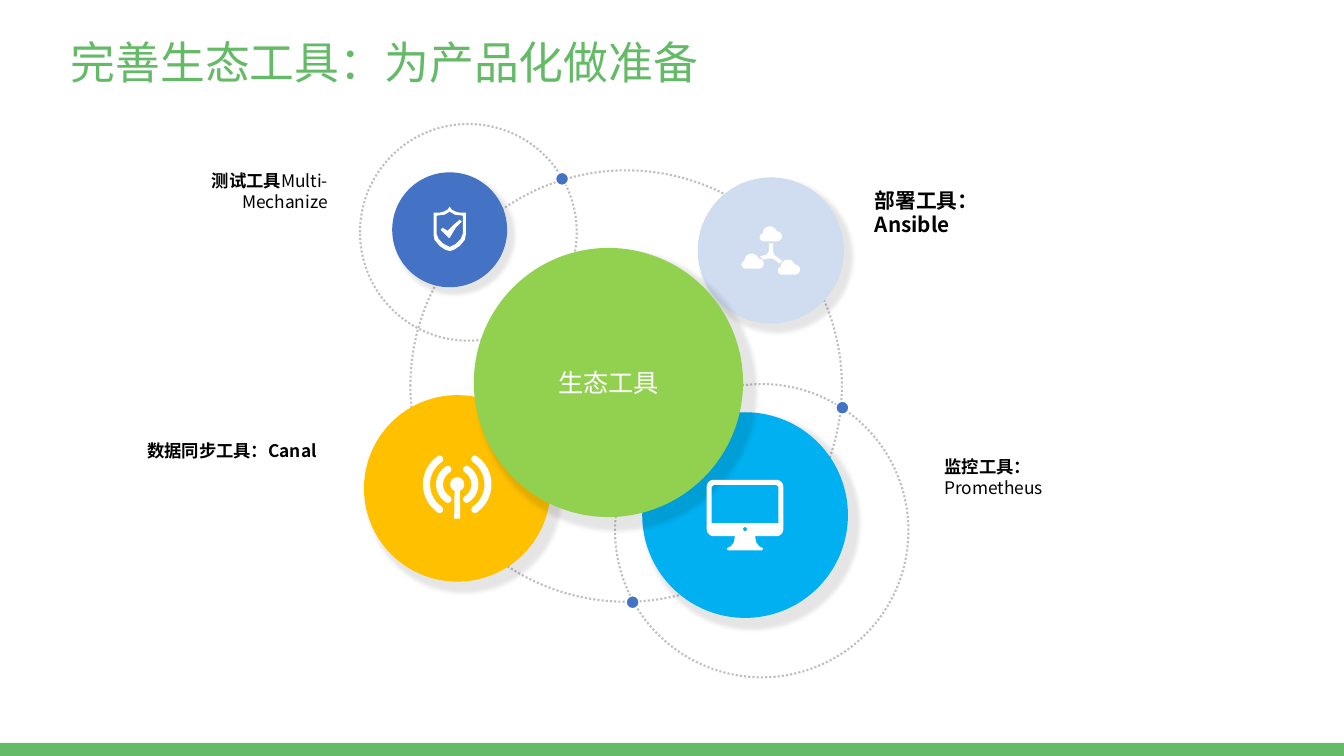
from math import cos, radians, sin

from lxml import etree
from pptx import Presentation
from pptx.dml.color import RGBColor
from pptx.enum.dml import MSO_LINE
from pptx.enum.shapes import MSO_SHAPE
from pptx.enum.text import MSO_ANCHOR, MSO_AUTO_SIZE, PP_ALIGN
from pptx.oxml import parse_xml
from pptx.oxml.ns import nsdecls, qn
from pptx.util import Inches, Pt

FONT = "Noto Sans CJK SC"
COLORS = {
    "title": "65BA67", "orbit": "BFBFBF", "white": "FFFFFF", "black": "000000",
    "test": "4472C4", "deploy": "D0DCF0", "monitor": "00B0F0", "sync": "FFC000",
    "hub": "92D050",
}
SHADOW = (
    f'<a:outerShdw {nsdecls("a")} blurRad="38100" dist="38100" dir="2700000" '
    'sx="104000" sy="104000" algn="tl" rotWithShape="0">'
    '<a:srgbClr val="000000"><a:alpha val="10000"/></a:srgbClr></a:outerShdw>'
)


def rgb(name):
    return RGBColor.from_string(COLORS[name])


def style_run(r, size, color, bold=False):
    r.font.size = Pt(size)
    r.font.name = FONT
    r.font.bold = bold
    r.font.color.rgb = rgb(color)
    etree.SubElement(r.font._element, qn("a:ea")).set("typeface", FONT)


def paint(sp, fill):
    sp.shadow.inherit = False
    sp.fill.solid()
    sp.fill.fore_color.rgb = rgb(fill)
    sp.line.fill.background()


def circle(s, x, y, size):
    return s.shapes.add_shape(MSO_SHAPE.OVAL, Inches(x), Inches(y),
                              Inches(size), Inches(size))


def orbit(s, x, y, size):
    sp = circle(s, x, y, size)
    sp.shadow.inherit = False
    sp.fill.background()
    sp.line.color.rgb = rgb("orbit")
    sp.line.width = Pt(1.5)
    sp.line.dash_style = MSO_LINE.ROUND_DOT


def disc(s, x, y, size, fill):
    sp = circle(s, x, y, size)
    paint(sp, fill)
    sp._element.spPr.find(qn("a:effectLst")).append(parse_xml(SHADOW))
    return sp


def dot(s, x, y):
    sp = circle(s, x, y, 0.13)
    paint(sp, "test")
    sp.line.color.rgb = rgb("white")
    sp.line.width = Pt(1)


def arc(cx, cy, radius, start, end, steps=16):
    """Points along an arc, in degrees clockwise from the right."""
    angles = [radians(start + (end - start) * i / steps) for i in range(steps + 1)]
    return [(cx + radius * cos(a), cy + radius * sin(a)) for a in angles]


def icon(s, cx, cy, contours):
    """One white outline shape whose contours are relative to its centre."""
    emu = [[(Inches(cx + x), Inches(cy + y)) for x, y in c] for c in contours]
    builder = s.shapes.build_freeform(*emu[0][0], scale=1.0)
    builder.add_line_segments(emu[0][1:], close=True)
    for contour in emu[1:]:
        builder.move_to(*contour[0])
        builder.add_line_segments(contour[1:], close=True)
    paint(builder.convert_to_shape(), "white")


def mirrored(half):
    return half + [(-x, y) for x, y in reversed(half)]


def shield_icon(s, cx, cy):
    outer = [(0, -0.23), (0.02, -0.2), (0.06, -0.18), (0.1, -0.17), (0.16, -0.17),
             (0.16, 0.05), (0.15, 0.1), (0.1, 0.16), (0.04, 0.2), (0, 0.21)]
    inner = [(0, -0.18), (0.05, -0.15), (0.13, -0.14), (0.13, 0.04), (0.11, 0.09),
             (0.06, 0.14), (0, 0.17)]
    tick = [(0.1, -0.1), (0.12, -0.08), (0.06, -0.02), (0, 0.08), (-0.01, 0.08),
            (-0.09, 0), (-0.07, -0.02), (-0.02, 0.01), (0.04, -0.05)]
    icon(s, cx, cy, [mirrored(outer), mirrored(inner), tick])


def cloud(x, y):
    return (arc(x + 0.04, y + 0.11, 0.04, 90, 270)
            + arc(x + 0.1, y + 0.07, 0.07, 180, 335)
            + arc(x + 0.17, y + 0.1, 0.05, 270, 450))


def clouds_icon(s, cx, cy):
    links = [(-0.02, -0.07), (0.02, -0.07), (0.02, 0.01), (0.04, 0.05), (0.11, 0.1),
             (0.09, 0.13), (0.02, 0.08), (-0.03, 0.08), (-0.07, 0.09),
             (-0.11, 0.06), (-0.04, 0.04), (-0.02, 0.01)]
    icon(s, cx, cy, [cloud(0.07, 0.09), cloud(-0.29, 0.03), links,
                     cloud(-0.11, -0.24)])


def wave(inner, outer, spread, facing):
    """A band of an antenna wave with round ends."""
    mid, cap = (inner + outer) / 2, (outer - inner) / 2
    first, last = facing - spread, facing + spread
    head, tail = (arc(0, 0, mid, a, a, 1)[0] for a in (first, last))
    return (arc(0, 0, outer, first, last) + arc(*tail, cap, last, last + 180)
            + arc(0, 0, inner, last, first)
            + arc(*head, cap, first + 180, first + 360))


def antenna_icon(s, cx, cy):
    mast = arc(0, 0, 0.07, 112, 428) + [(0.03, 0.34), (-0.03, 0.34)]
    waves = [wave(*band, facing) for band in ((0.14, 0.21, 58), (0.27, 0.34, 55))
             for facing in (0, 180)]
    icon(s, cx, cy, [mast] + waves)


def rounded(x, y, w, h, radius):
    corners = [(x + w - radius, y + h - radius), (x + radius, y + h - radius),
               (x + radius, y + radius), (x + w - radius, y + radius)]
    return [pt for i, c in enumerate(corners)
            for pt in arc(*c, radius, 90 * i, 90 * i + 90, 6)]


def screen_icon(s, cx, cy):
    case = rounded(-0.38, -0.35, 0.76, 0.56, 0.07)
    glass = [(-0.33, 0.08), (-0.33, -0.28), (-0.31, -0.3), (0.31, -0.3),
             (0.33, -0.28), (0.33, 0.08)]
    stand = [(0.1, 0.21), (0.11, 0.27), (0.14, 0.31), (0.18, 0.33), (0.17, 0.35)]
    icon(s, cx, cy, [case, glass, arc(0, 0.14, 0.02, 0, 360), mirrored(stand)])


def label(s, x, y, bold_text, plain_text="", size=12.4, align=PP_ALIGN.LEFT):
    tf = s.shapes.add_textbox(Inches(x), Inches(y), Inches(1.93),
                              Inches(0.45)).text_frame
    tf.word_wrap = True
    tf.vertical_anchor = MSO_ANCHOR.MIDDLE
    p = tf.paragraphs[0]
    p.alignment = align
    for text, bold in ((bold_text, True), (plain_text, False)):
        if text:
            r = p.add_run()
            r.text = text
            style_run(r, size, "black", bold)


def diagram(s, x, y):
    for dx, dy, size in ((0.5, 0.46, 4.28), (2.53, 2.58, 2.91), (0, 0, 2.15)):
        orbit(s, x + dx, y + dy, size)

    tools = [(0.32, 0.48, 1.14, "test"), (3.35, 0.53, 1.45, "deploy"),
             (2.8, 2.86, 2.04, "monitor"), (0.04, 2.69, 1.85, "sync")]
    for dx, dy, size, name in tools:
        disc(s, x + dx, y + dy, size, name)
    for dx, dy in ((1.94, 0.48), (2.64, 4.68), (4.72, 2.75)):
        dot(s, x + dx, y + dy)

    tf = disc(s, x + 1.13, y + 1.23, 2.67, "hub").text_frame
    tf.text = "生态工具"
    tf.vertical_anchor = MSO_ANCHOR.MIDDLE
    tf.paragraphs[0].alignment = PP_ALIGN.CENTER
    style_run(tf.paragraphs[0].runs[0], 18, "white")

    icons = (shield_icon, clouds_icon, screen_icon, antenna_icon)
    lifts = (0, 0, 0, 0.04)
    for (dx, dy, size, _), draw, lift in zip(tools, icons, lifts):
        draw(s, x + dx + size / 2, y + dy + size / 2 - lift)

    label(s, x - 2.15, y + 0.44, "测试工具", "Multi-Mechanize", align=PP_ALIGN.RIGHT)
    label(s, x - 2.26, y + 3.01, "数据同步工具：Canal", align=PP_ALIGN.RIGHT)
    label(s, x + 5.01, y + 0.65, "部署工具： Ansible", size=14.8)
    label(s, x + 5.7, y + 3.28, "监控工具：", "Prometheus")


def title(s, x, y, w, h):
    sp = s.shapes.title
    sp.left, sp.top, sp.width, sp.height = (Inches(v) for v in (x, y, w, h))
    tf = sp.text_frame
    tf.text = "完善生态工具：为产品化做准备"
    tf.auto_size = MSO_AUTO_SIZE.NONE
    tf.vertical_anchor = MSO_ANCHOR.MIDDLE
    p = tf.paragraphs[0]
    p.alignment = PP_ALIGN.LEFT
    p.line_spacing = 0.9
    style_run(p.runs[0], 32, "title")


def footer_bar(s, x, y, w, h):
    paint(s.shapes.add_shape(MSO_SHAPE.RECTANGLE, Inches(x), Inches(y),
                             Inches(w), Inches(h)), "title")


def main():
    prs = Presentation()
    prs.slide_width, prs.slide_height = Inches(13.33), Inches(7.5)
    s = prs.slides.add_slide(prs.slide_layouts[5])
    footer_bar(s, 0, 7.37, 13.33, 0.13)
    title(s, 0.6, 0.21, 11.5, 0.87)
    diagram(s, 3.57, 1.23)
    prs.save("out.pptx")


if __name__ == "__main__":
    main()
